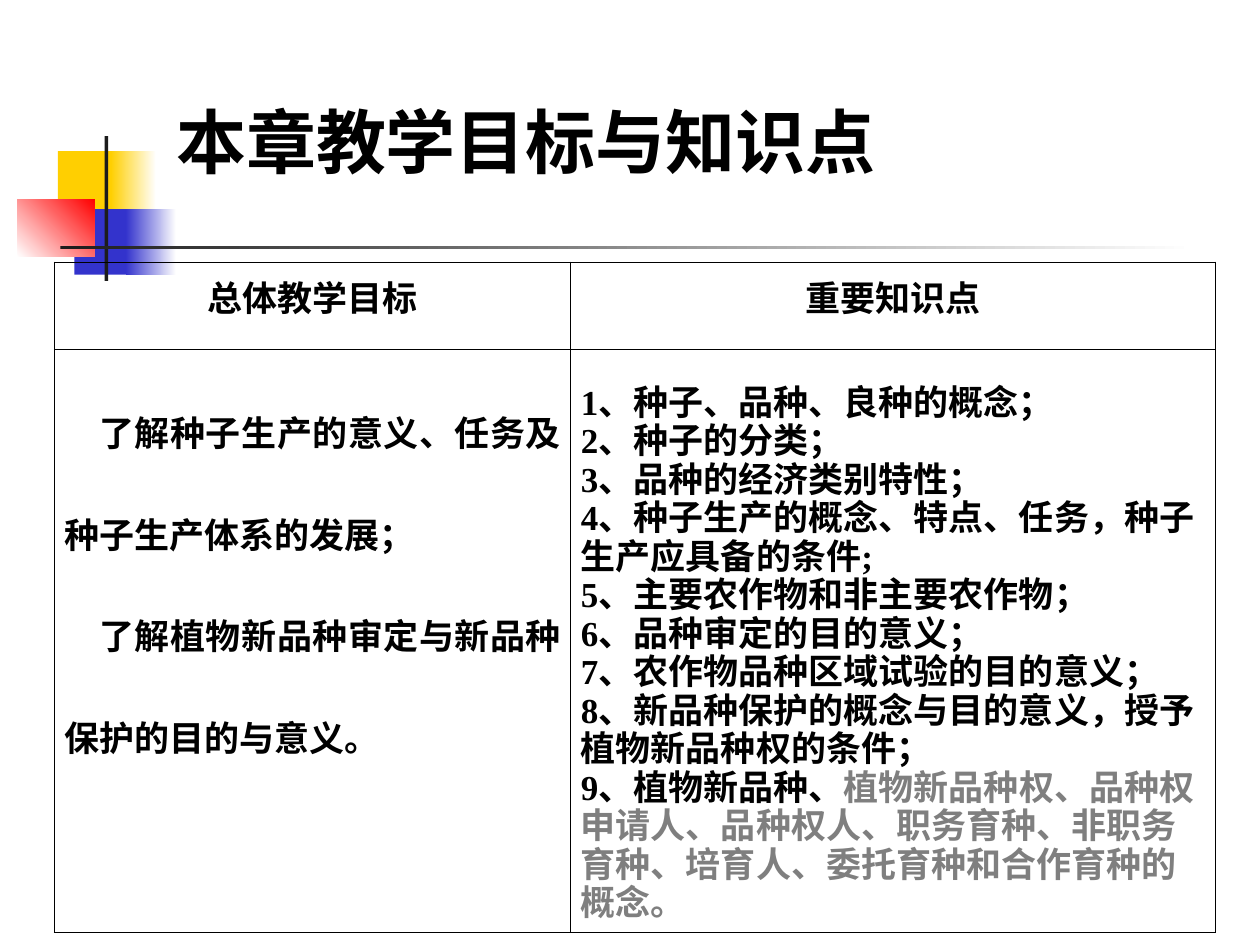
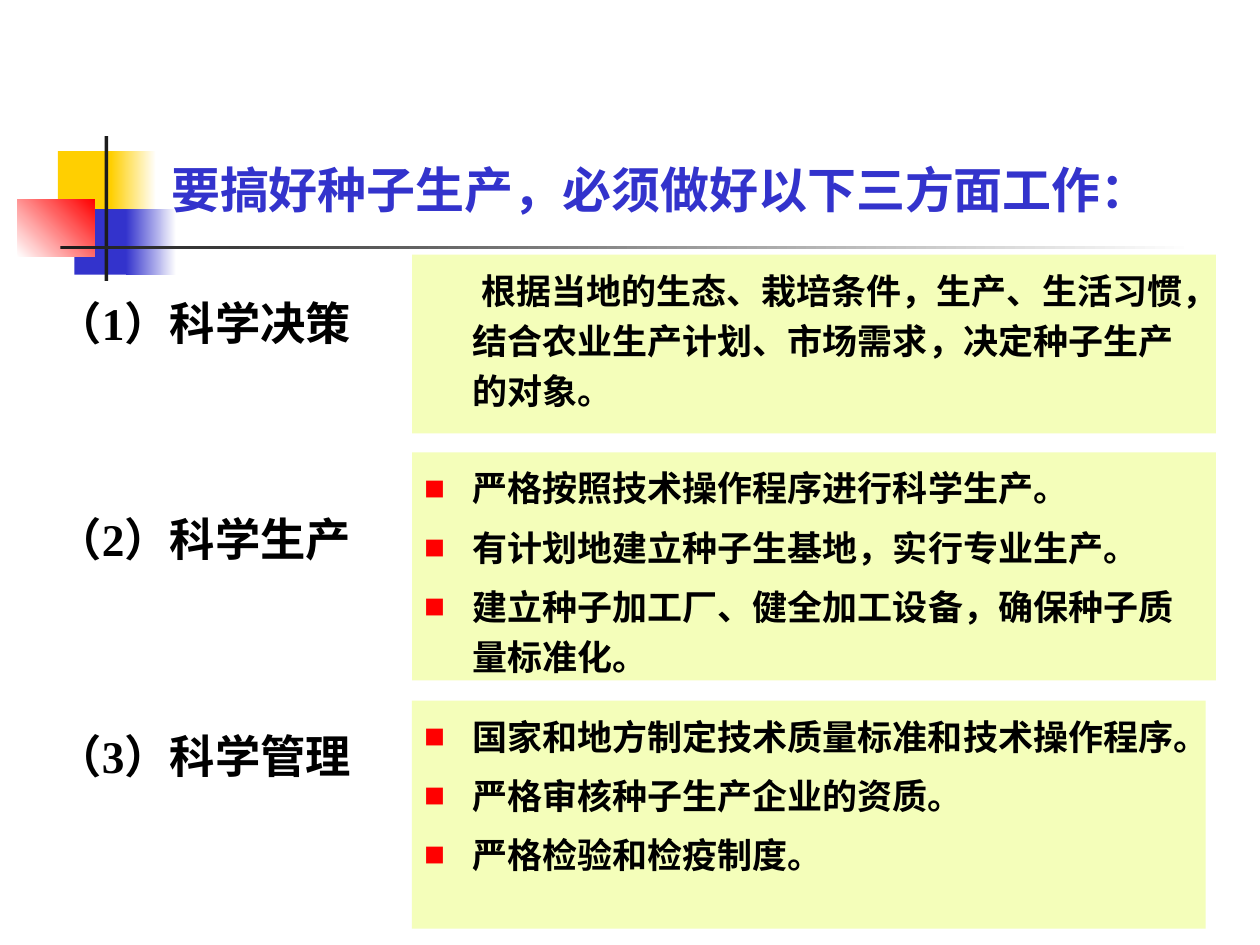
from lxml import etree
from pptx import Presentation
from pptx.dml.color import RGBColor
from pptx.enum.shapes import MSO_SHAPE
from pptx.enum.text import MSO_ANCHOR, PP_ALIGN
from pptx.oxml.ns import qn
from pptx.util import Inches, Pt

RECT = MSO_SHAPE.RECTANGLE
BOTTOM, MIDDLE, TOP = MSO_ANCHOR.BOTTOM, MSO_ANCHOR.MIDDLE, MSO_ANCHOR.TOP
CENTER, JUSTIFY, LEFT = PP_ALIGN.CENTER, PP_ALIGN.JUSTIFY, PP_ALIGN.LEFT

COLORS = {
    "black": "000000", "white": "FFFFFF", "gold": "FFCF01", "blue": "3333CC",
    "red": "FF0000", "bar": "1C1C1C", "gray": "7F7F7F", "panel": "F4FEBA",
}
SERIF, SANS, CABIN = "Times New Roman", "Noto Sans CJK SC", "Cabin"

EMBLEM = [
    ((0.46, 1.2, 0.48, 0.52), ["gold"], 0),
    ((0.88, 1.2, 0.36, 0.52), ["gold", "white"], 0),
    ((0.59, 1.66, 0.46, 0.52), ["blue"], 0),
    ((1, 1.66, 0.4, 0.52), ["blue", "white"], 0),
    ((0.14, 1.58, 0.61, 0.46), ["white", "red"], 45),
    ((0.83, 1.08, 0.03, 1.15), ["bar"], 0),
    ((0.48, 1.95, 9, 0.03), ["bar", "white"], 0),
]

GOALS = [
    "了解种子生产的意义、任务及种子生产体系的发展；",
    "了解植物新品种审定与新品种保护的目的与意义。",
]
KEY_POINTS = [
    "1、种子、品种、良种的概念；",
    "2、种子的分类；",
    "3、品种的经济类别特性；",
    "4、种子生产的概念、特点、任务，种子生产应具备的条件;",
    "5、主要农作物和非主要农作物；",
    "6、品种审定的目的意义；",
    "7、农作物品种区域试验的目的意义；",
    "8、新品种保护的概念与目的意义，授予植物新品种权的条件；",
    "9、植物新品种、",
]
KEY_POINTS_GRAY = "植物新品种权、品种权申请人、品种权人、职务育种、非职务育种、培育人、委托育种和合作育种的概念。"

TASKS = ["（1）科学决策", "（2）科学生产", "（3）科学管理"]
DECISION = ["根据当地的生态、栽培条件，生产、生活习惯，结合农业生产计划、市场需求，决定种子生产的对象。"]
PRODUCTION = [
    "严格按照技术操作程序进行科学生产。",
    "有计划地建立种子生基地，实行专业生产。",
    "建立种子加工厂、健全加工设备，确保种子质量标准化。",
]
MANAGEMENT = [
    "国家和地方制定技术质量标准和技术操作程序。",
    "严格审核种子生产企业的资质。",
    "严格检验和检疫制度。",
]


def rgb(name):
    return RGBColor.from_string(COLORS[name])


def format_run(r, size, latin, asian, color="black"):
    r.font.size, r.font.bold, r.font.name = Pt(size), True, latin
    r.font.color.rgb = rgb(color)
    etree.SubElement(r.font._element, qn("a:ea"), typeface=asian)


def set_indent(p, left, first):
    pPr = p._p.get_or_add_pPr()
    pPr.set("marL", str(Inches(left)))
    pPr.set("indent", str(Inches(first)))


def add_bullet(p):
    pPr = p._p.get_or_add_pPr()
    color = etree.SubElement(pPr, qn("a:buClr"))
    etree.SubElement(color, qn("a:srgbClr"), val=COLORS["red"])
    etree.SubElement(pPr, qn("a:buSzPct"), val="60000")
    etree.SubElement(pPr, qn("a:buFont"), typeface=SANS)
    etree.SubElement(pPr, qn("a:buChar"), char="■")


def write_text(tf, lines, size, latin, asian, color="black", align=LEFT,
               spacing=1.0, before=0, left=0, first=0, bullets=False):
    tf.word_wrap = True
    tf.text = "\n".join(lines)
    for i, p in enumerate(tf.paragraphs):
        set_indent(p, left, first)
        if bullets:
            add_bullet(p)
        p.alignment, p.line_spacing = align, spacing
        p.space_before = Pt(before if i else 0)
        for r in p.runs:
            format_run(r, size, latin, asian, color)


def add_rect(slide, box, colors, angle=0):
    s = slide.shapes.add_shape(RECT, *map(Inches, box))
    s.shadow.inherit = False
    s.line.fill.background()
    if len(colors) == 1:
        s.fill.solid()
        s.fill.fore_color.rgb = rgb(colors[0])
    else:
        s.fill.gradient()
        s.fill.gradient_angle = angle
        for stop, color in zip(s.fill.gradient_stops, colors):
            stop.color.rgb = rgb(color)
    return s


def add_text(slide, box, lines, **style):
    tf = slide.shapes.add_textbox(*map(Inches, box)).text_frame
    write_text(tf, lines, **style)
    return tf


def add_titled_slide(prs, title, box, bottom=0.05, **style):
    slide = prs.slides.add_slide(prs.slide_layouts[6])
    for emblem_box, colors, angle in EMBLEM:
        add_rect(slide, emblem_box, colors, angle)
    tf = add_text(slide, box, [title], **style)
    tf.vertical_anchor = BOTTOM
    tf.margin_bottom = Inches(bottom)
    return slide


def add_panel(slide, box, lines, **style):
    tf = add_rect(slide, box, ["panel"]).text_frame
    tf.vertical_anchor = TOP
    write_text(tf, lines, 20, SERIF, CABIN, spacing=1.2, before=5, left=0.38, **style)


def style_cell(cell, anchor):
    cell.fill.background()
    cell.vertical_anchor = anchor
    cell.margin_left = cell.margin_right = Inches(0.08)
    cell.margin_top = cell.margin_bottom = Inches(0.05)
    tcPr = cell._tc.get_or_add_tcPr()
    for i, side in enumerate(("lnL", "lnR", "lnT", "lnB")):
        ln = etree.Element(qn(f"a:{side}"), w=str(Pt(0.45)))
        fill = etree.SubElement(ln, qn("a:solidFill"))
        etree.SubElement(fill, qn("a:srgbClr"), val=COLORS["black"])
        tcPr.insert(i, ln)


def add_goals_table(slide):
    widths, heights = (4.1, 5.12), (0.69, 4.6)
    box = (0.43, 2.08, sum(widths), sum(heights))
    table = slide.shapes.add_table(2, 2, *map(Inches, box)).table
    table.first_row = table.horz_banding = False
    for column, width in zip(table.columns, widths):
        column.width = Inches(width)
    for row, height, anchor in zip(table.rows, heights, (MIDDLE, TOP)):
        row.height = Inches(height)
        for cell in row.cells:
            style_cell(cell, anchor)

    for col, heading in enumerate(("总体教学目标", "重要知识点")):
        write_text(table.cell(0, col).text_frame, [heading], 20, SERIF, SANS,
                   align=CENTER, spacing=Pt(18))
    write_text(table.cell(1, 0).text_frame, GOALS, 20, SANS, SANS,
               align=JUSTIFY, spacing=2.0, first=0.28)
    points = table.cell(1, 1)
    points.margin_top = Inches(0.3)
    write_text(points.text_frame, KEY_POINTS, 20, SERIF, SANS, spacing=Pt(22))
    r = points.text_frame.paragraphs[-1].add_run()
    r.text = KEY_POINTS_GRAY
    format_run(r, 20, SERIF, SANS, "gray")


def main():
    prs = Presentation()
    prs.slide_width, prs.slide_height = Inches(10), Inches(7.5)

    goals = add_titled_slide(prs, "本章教学目标与知识点", (1.3, 0.68, 6.16, 0.82),
                             size=40, latin=SANS, asian=SANS)
    add_goals_table(goals)

    tasks = add_titled_slide(prs, "要搞好种子生产，必须做好以下三方面工作：",
                             (1.26, 0.23, 8.52, 1.6), bottom=0.1,
                             size=28, latin=CABIN, asian=CABIN, color="blue")
    add_text(tasks, (0.35, 2.25, 2.84, 4.72), TASKS, size=25.9, latin=SERIF,
             asian=CABIN, spacing=1.1, before=89.4, left=0.38, first=-0.38)
    add_panel(tasks, (3.27, 2.02, 6.38, 1.42), DECISION, first=0.07)
    add_panel(tasks, (3.27, 3.59, 6.38, 1.81), PRODUCTION, first=-0.38, bullets=True)
    add_panel(tasks, (3.27, 5.56, 6.3, 1.81), MANAGEMENT, first=-0.38, bullets=True)

    prs.save("out.pptx")


if __name__ == "__main__":
    main()
